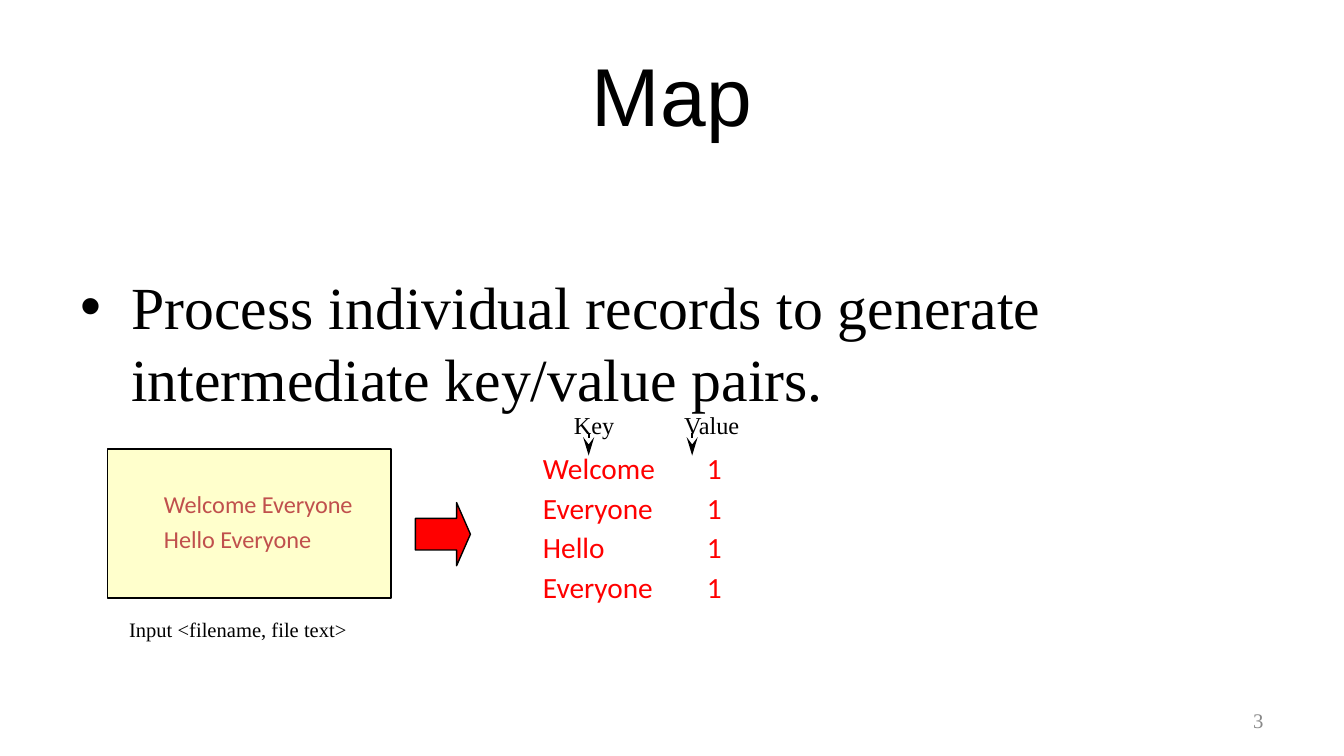
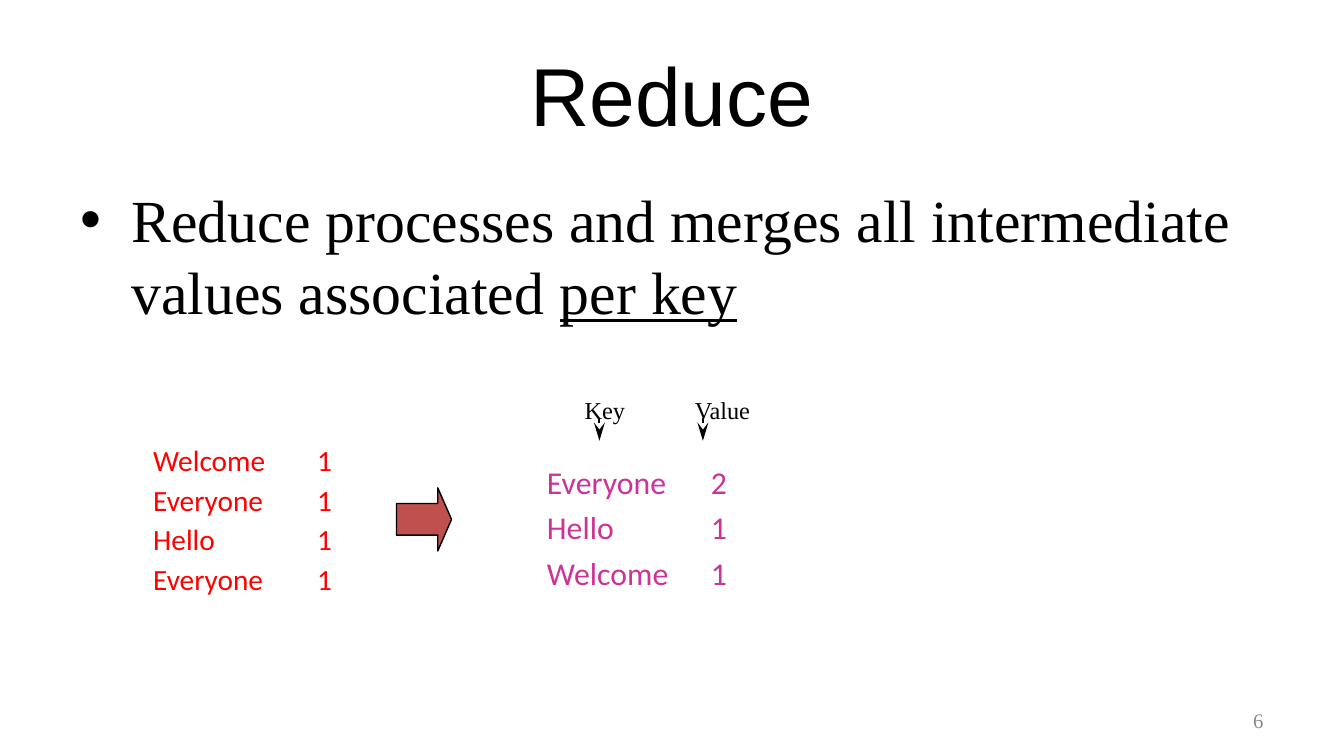
from dataclasses import dataclass

from lxml import etree
from pptx import Presentation
from pptx import util as u
from pptx.dml.color import RGBColor
from pptx.enum import shapes, text
from pptx.oxml import ns
from pptx.shapes.base import BaseShape
from pptx.slide import Slide

PIXEL = 9144


@dataclass(frozen=True)
class Theme:
    """Colours, fonts and type sizes of the slides."""
    black: str = "000000"
    red: str = "FF0000"
    brick: str = "C0504D"
    cream: str = "FFFFCC"
    magenta: str = "CC3399"
    grey: str = "898989"
    heading: str = "Arial"
    serif: str = "Times New Roman"
    sans: str = "Calibri"
    title_size: float = 44
    body_size: float = 32
    label_size: float = 13
    caption_size: float = 11
    number_size: float = 11.1
    mapped_size: float = 15.7
    reduced_size: float = 17


@dataclass(frozen=True)
class Box:
    """A rectangle in px."""
    left: int
    top: int
    width: int
    height: int

    def emu(self) -> tuple[int, ...]:
        """Return the rectangle in EMU."""
        return tuple(v * PIXEL for v in (self.left, self.top, self.width, self.height))


@dataclass(frozen=True)
class PairList:
    """A list of key/value pairs and its look."""
    box: Box
    pairs: tuple[tuple[str, int], ...]
    color: str
    size: float
    spacing: float


@dataclass(frozen=True)
class Step:
    """One step of the word count with its body text and diagram parts."""
    title: str
    body: str
    underlined: str
    body_top: int
    number: int
    arrow: Box
    arrow_color: str
    header_left: int
    header_top: int
    lists: tuple[PairList, ...]


THEME = Theme()
SMALL_INSETS = (7, 4)
MAPPED = (("Welcome", 1), ("Everyone", 1), ("Hello", 1), ("Everyone", 1))
REDUCED = (("Everyone", 2), ("Hello", 1), ("Welcome", 1))


def mapped_list(left: int, top: int) -> PairList:
    """Describe the pairs that the map step emits."""
    return PairList(Box(left, top, 217, 135), MAPPED, THEME.red, THEME.mapped_size, 0.9)


STEPS = (
    Step("Map", "Process individual records to generate intermediate key/value pairs.", "",
         196, 3, Box(309, 374, 41, 47), THEME.red, 420, 301, (mapped_list(362, 334),)),
    Step("Reduce", "Reduce processes and merges all intermediate values associated ", "per key",
         131, 6, Box(295, 363, 41, 47), THEME.brick, 428, 290,
         (mapped_list(72, 328),
          PairList(Box(365, 340, 217, 106), REDUCED, THEME.magenta, THEME.reduced_size, 1))),
)


def write(shape: BaseShape, lines: list[str], *, font: str, size: float, color: str = THEME.black,
          align: text.PP_ALIGN = text.PP_ALIGN.LEFT, anchor: text.MSO_ANCHOR = text.MSO_ANCHOR.TOP,
          insets: tuple[int, int] = (10, 5), wrap: bool = True, indent: int = 0, hanging: int = 0,
          tab: int = 0, bullet: str = "", spacing: float = 1, before: float = 0,
          underlined: str = "") -> None:
    """Fill a shape with formatted paragraphs."""
    frame = shape.text_frame
    frame.word_wrap = wrap
    frame.vertical_anchor = anchor
    frame.margin_left = frame.margin_right = insets[0] * PIXEL
    frame.margin_top = frame.margin_bottom = insets[1] * PIXEL
    for index, line in enumerate(lines):
        paragraph = frame.paragraphs[0] if index == 0 else frame.add_paragraph()
        properties = paragraph._p.get_or_add_pPr()
        properties.set("marL", str(indent * PIXEL))
        properties.set("indent", str(-hanging * PIXEL))
        if bullet:
            etree.SubElement(properties, ns.qn("a:buFont"), typeface=THEME.heading)
            etree.SubElement(properties, ns.qn("a:buChar"), char=bullet)
        if tab:
            properties.set("defTabSz", str(100 * PIXEL))
            tabs = etree.SubElement(properties, ns.qn("a:tabLst"))
            etree.SubElement(tabs, ns.qn("a:tab"), pos=str(tab * PIXEL), algn="l")
        paragraph.alignment = align
        paragraph.line_spacing = spacing
        paragraph.space_before = u.Pt(before if index else 0)
        for content, underline in ((line, False), (underlined, True)):
            if content:
                run = paragraph.add_run()
                run.text = content
                run.font.name = font
                run.font.size = u.Pt(size)
                run.font.color.rgb = RGBColor.from_string(color)
                run.font.underline = underline


def add_text(slide: Slide, box: Box, *lines: str, **formats) -> None:
    """Add a text box with the given format."""
    write(slide.shapes.add_textbox(*box.emu()), list(lines), **formats)


def add_block(slide: Slide, kind: shapes.MSO_SHAPE, box: Box, fill: str) -> BaseShape:
    """Add a filled shape with a thin black outline."""
    shape = slide.shapes.add_shape(kind, *box.emu())
    shape.shadow.inherit = False
    shape.fill.solid()
    shape.fill.fore_color.rgb = RGBColor.from_string(fill)
    shape.line.color.rgb = RGBColor.from_string(THEME.black)
    shape.line.width = u.Pt(0.75)
    return shape


def add_pointer(slide: Slide, left: int, top: int) -> None:
    """Add a short downward arrow."""
    pointer = slide.shapes.add_connector(
        shapes.MSO_CONNECTOR.STRAIGHT, *(v * PIXEL for v in (left, top, left, top + 17)))
    pointer.line.color.rgb = RGBColor.from_string(THEME.black)
    pointer.line.width = u.Pt(1)
    etree.SubElement(pointer.line._get_or_add_ln(), ns.qn("a:tailEnd"),
                     type="stealth", w="med", len="lg")
    etree.SubElement(pointer._element.spPr, ns.qn("a:effectLst"))


def add_headers(slide: Slide, left: int, top: int) -> None:
    """Add the key and value labels with their pointers."""
    for name, offset, width, pointer in (("Key", 0, 44, 18), ("Value", 82, 57, 95)):
        add_text(slide, Box(left + offset, top, width, 29), name, font=THEME.serif,
                 size=THEME.label_size, insets=SMALL_INSETS, wrap=False)
        add_pointer(slide, left + pointer, top + 21)


def add_pairs(slide: Slide, item: PairList) -> None:
    """Add a list of tabbed key/value pairs."""
    add_text(slide, item.box, *(f"{key}\t{value}" for key, value in item.pairs),
             font=THEME.sans, size=item.size, color=item.color, insets=SMALL_INSETS,
             indent=57, hanging=22, tab=157, spacing=item.spacing, before=4.2)


def add_input(slide: Slide) -> None:
    """Add the input file card and its caption."""
    card = add_block(slide, shapes.MSO_SHAPE.RECTANGLE, Box(80, 334, 211, 111), THEME.cream)
    write(card, ["Welcome Everyone", "Hello Everyone"], font=THEME.sans, size=THEME.label_size,
          color=THEME.brick, insets=(7, 30), indent=57, hanging=22, before=3.1)
    add_text(slide, Box(39, 456, 252, 43), "Input <filename, file text>", font=THEME.serif,
             size=THEME.caption_size, insets=SMALL_INSETS, indent=50, spacing=0.97)


def add_step(presentation: Presentation, step: Step) -> Slide:
    """Add a slide with everything the steps share."""
    slide = presentation.slides.add_slide(presentation.slide_layouts[6])
    add_text(slide, Box(50, 23, 900, 94), step.title, font=THEME.heading, size=THEME.title_size,
             align=text.PP_ALIGN.CENTER, anchor=text.MSO_ANCHOR.MIDDLE)
    add_text(slide, Box(50, step.body_top, 900, 502 - step.body_top), step.body,
             underlined=step.underlined, font=THEME.serif, size=THEME.body_size,
             indent=38, hanging=38, bullet="•")
    for item in step.lists:
        add_pairs(slide, item)
    arrow = add_block(slide, shapes.MSO_SHAPE.RIGHT_ARROW, step.arrow, step.arrow_color)
    arrow.adjustments[1] = 0.25
    add_headers(slide, step.header_left, step.header_top)
    add_text(slide, Box(717, 521, 233, 30), str(step.number), font=THEME.serif,
             size=THEME.number_size, color=THEME.grey, align=text.PP_ALIGN.RIGHT,
             anchor=text.MSO_ANCHOR.MIDDLE)
    return slide


def main() -> None:
    """Build and save the presentation."""
    presentation = Presentation()
    presentation.slide_width = 1000 * PIXEL
    presentation.slide_height = presentation.slide_width * 9 // 16
    map_slide, _ = (add_step(presentation, step) for step in STEPS)
    add_input(map_slide)
    presentation.save("out.pptx")


if __name__ == "__main__":
    main()
